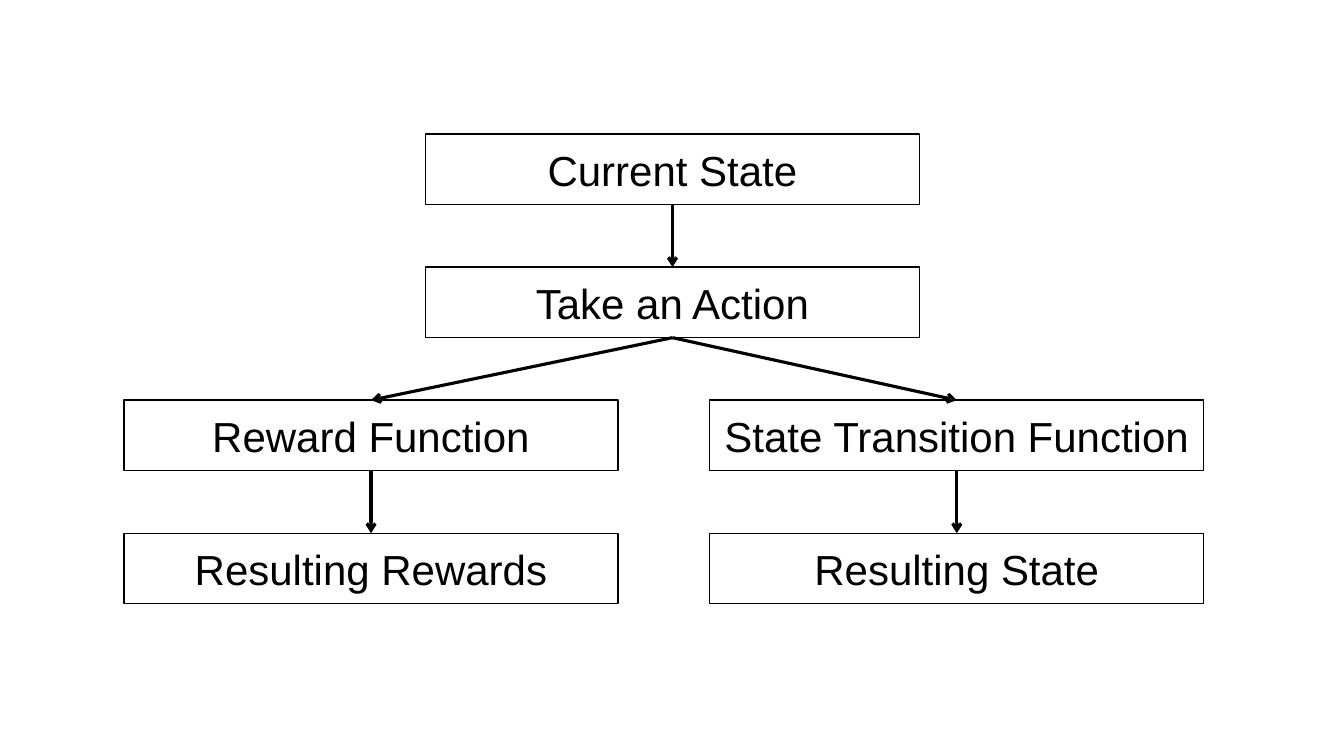
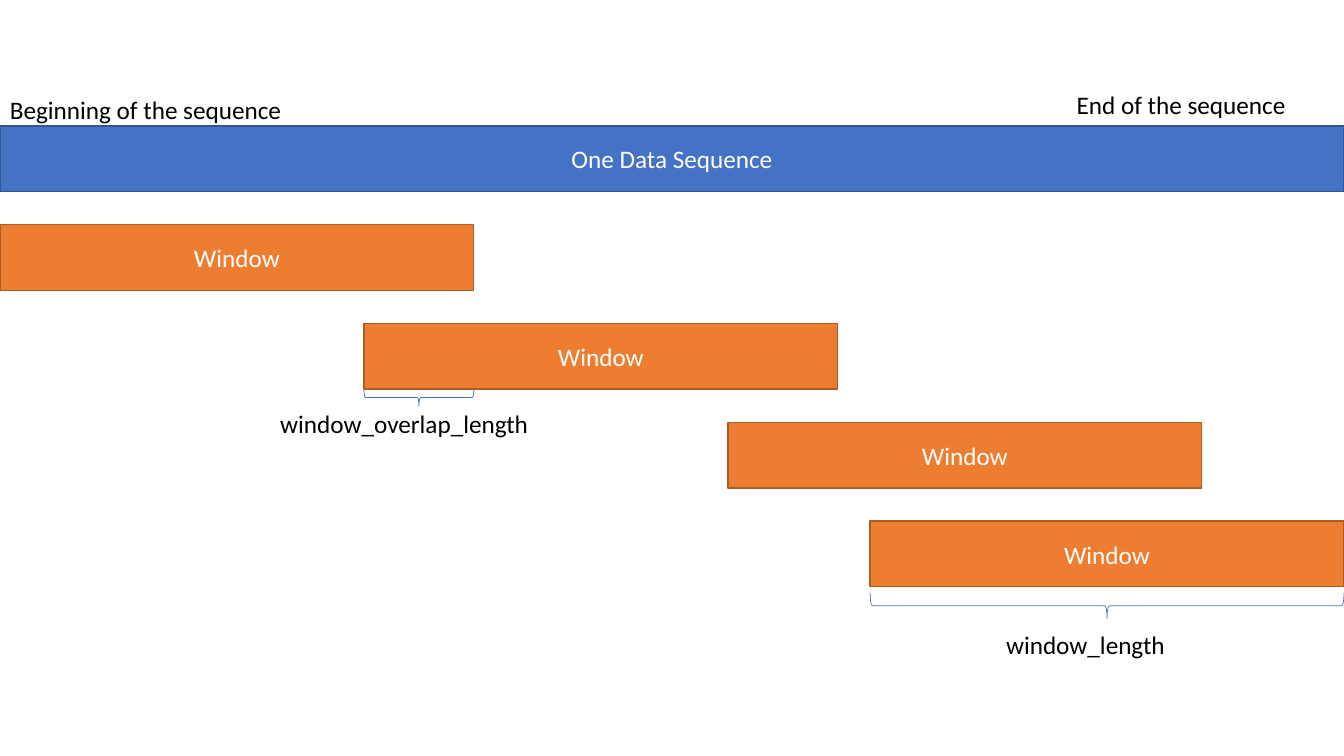
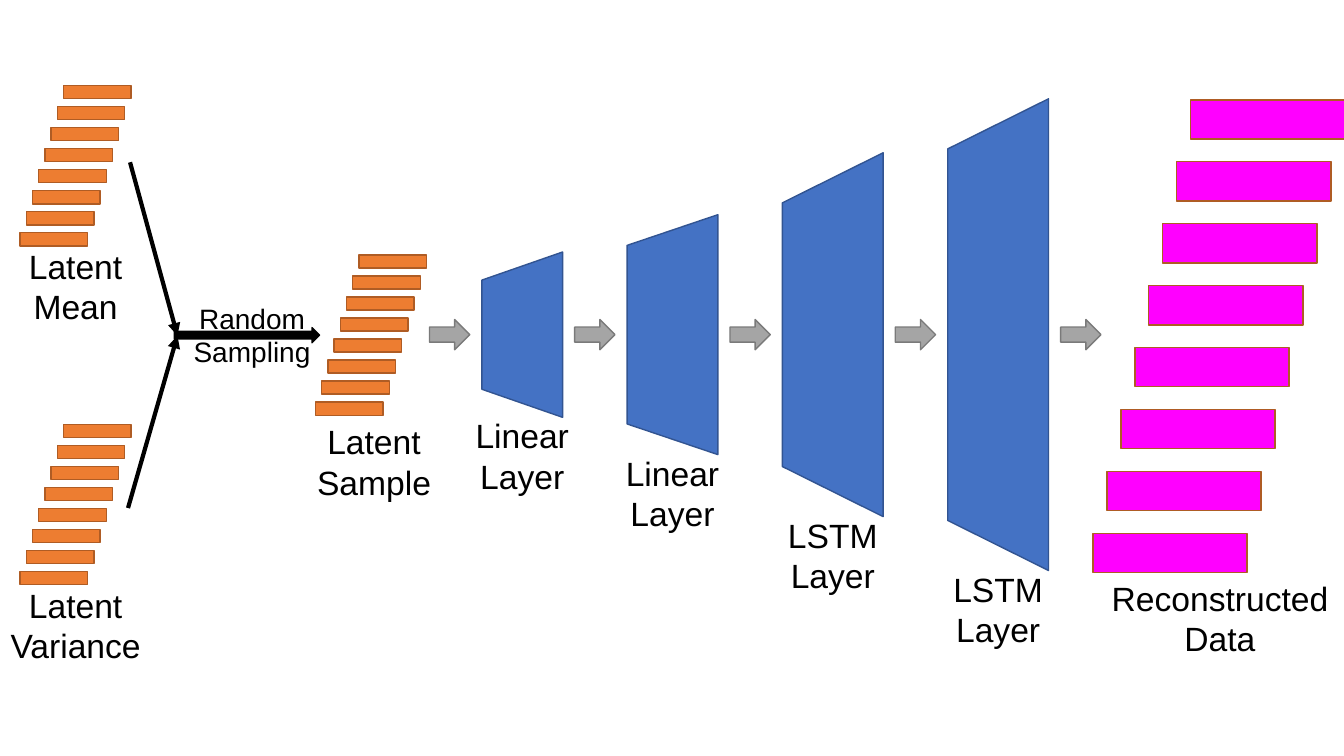
from lxml.etree import SubElement
from pptx import Presentation
from pptx.dml.color import RGBColor
from pptx.enum.shapes import MSO_CONNECTOR, MSO_SHAPE
from pptx.enum.text import MSO_ANCHOR, PP_ALIGN
from pptx.oxml.ns import qn
from pptx.util import Inches, Pt

W, H = 13.33, 7.5
COLORS = {
    "black": "000000", "white": "FFFFFF",
    "blue": "4472C4", "blue_edge": "325491",
    "orange": "ED7D31", "orange_edge": "AF5C24",
    "gray": "A5A5A5", "gray_edge": "7A7A7A", "magenta": "FF00FF",
}

# Decision flow: name -> (centre x, row)
STEPS = {
    "Current State": (6.67, 0),
    "Take an Action": (6.67, 1),
    "Reward Function": (3.68, 2),
    "State Transition Function": (9.49, 2),
    "Resulting Rewards": (3.68, 3),
    "Resulting State": (9.49, 3),
}
FLOWS = [
    ("Current State", "Take an Action"),
    ("Take an Action", "Reward Function"),
    ("Take an Action", "State Transition Function"),
    ("Reward Function", "Resulting Rewards"),
    ("State Transition Function", "Resulting State"),
]

# Sliding windows
WINDOW_W, OVERLAP, BAR_H, BAR_TOP, BAR_PITCH = 4.7, 1.09, 0.65, 1.25, 0.98
SEQUENCE_NOTES = [  # text, left, top, width
    ("Beginning of the sequence", 0, 0.89, 3.51),
    ("End of the sequence", 10.58, 0.84, 2.76),
    ("window_overlap_length", 2.68, 4, 3.28),
    ("window_length", 9.88, 6.19, 2.2),
]

# Decoder
AXIS_Y, ARROW_W, ARROW_H, GAP = 3.32, 0.4, 0.3, 0.12
LAYERS = [  # kind, width, height, taper
    ("Linear", 0.8, 1.64, 0.348),
    ("Linear", 0.9, 2.38, 0.338),
    ("LSTM", 1, 3.61, 0.497),
    ("LSTM", 1, 4.68, 0.497),
]
BARS = 8
LATENT = dict(size=(0.67, 0.13), run=(0.43, 1.46), fill="orange")
DATA = dict(size=(1.53, 0.39), run=(0.97, 4.3), fill="magenta")
STACKS = [  # left, top, style, label, label centre, label top, label width
    (0.2, 0.85, LATENT, ["Latent", "Mean"], 0.75, 2.39, 1.14),
    (0.2, 4.21, LATENT, ["Latent", "Variance"], 0.75, 5.75, 1.51),
    (3.13, 2.53, LATENT, ["Latent", "Sample"], 3.71, 4.13, 1.34),
    (10.84, 0.99, DATA, ["Reconstructed", "Data"], 12.1, 5.68, 2.37),
]
SAMPLING_POINT = (1.76, 3.33)
SAMPLING_STARTS = [(1.29, 1.61), (1.27, 5.04)]


def rgb(name):
    return RGBColor.from_string(COLORS[name])


def write(sp, lines, size, font, color="black", align=PP_ALIGN.CENTER):
    tf = sp.text_frame
    tf.word_wrap = True
    for i, line in enumerate(lines):
        p = tf.paragraphs[0] if i == 0 else tf.add_paragraph()
        p.alignment = align
        r = p.add_run()
        r.text = line
        r.font.size, r.font.name = Pt(size), font
        r.font.color.rgb = rgb(color)
    return tf


def shape(s, kind, x, y, w, h, fill, edge, weight=1):
    sp = s.shapes.add_shape(kind, *map(Inches, (x, y, w, h)))
    sp.shadow.inherit = False
    if fill:
        sp.fill.solid()
        sp.fill.fore_color.rgb = rgb(fill)
    else:
        sp.fill.background()
    sp.line.color.rgb = rgb(edge)
    sp.line.width = Pt(weight)
    return sp


def turned(s, kind, x, y, w, h, angle, *style):
    """Add a shape that fills x, y, w, h after a quarter turn."""
    sp = shape(s, kind, x + (w - h) / 2, y + (h - w) / 2, h, w, *style)
    sp.rotation = angle
    return sp


def box(s, text, x, y, w, h, fill, edge, size, font, color):
    sp = shape(s, MSO_SHAPE.RECTANGLE, x, y, w, h, fill, edge)
    write(sp, [text], size, font, color).vertical_anchor = MSO_ANCHOR.MIDDLE
    return sp


def label(s, lines, x, y, w, h, size, font, align=PP_ALIGN.CENTER):
    sp = s.shapes.add_textbox(*map(Inches, (x, y, w, h)))
    tf = write(sp, lines, size, font, align=align)
    if align == PP_ALIGN.CENTER:
        tf.margin_left = tf.margin_right = Inches(0.05)


def arrow(s, start, end, weight, head):
    c = s.shapes.add_connector(MSO_CONNECTOR.STRAIGHT, *map(Inches, (*start, *end)))
    c.line.color.rgb = rgb("black")
    c.line.width = Pt(weight)
    SubElement(c.line._get_or_add_ln(), qn("a:tailEnd"), type=head)
    SubElement(c._element.spPr, qn("a:effectLst"))
    return c


def decision_flow(s):
    w, h, top, pitch = 4.9, 0.7, 1.33, 1.32
    boxes = {name: box(s, name, cx - w / 2, top + row * pitch, w, h,
                       "white", "black", 30, "Arial", "black")
             for name, (cx, row) in STEPS.items()}
    for a, b in FLOWS:
        c = arrow(s, (0, 0), (1, 1), 2.25, "arrow")
        c.begin_connect(boxes[a], 2)
        c.end_connect(boxes[b], 0)


def sliding_windows(s):
    last = W - WINDOW_W
    step = WINDOW_W - OVERLAP
    box(s, "One Data Sequence", 0, BAR_TOP, W, BAR_H,
        "blue", "blue_edge", 18, "Calibri", "white")
    for row, x in enumerate([0, step, 2 * step, last], 1):
        box(s, "Window", x, BAR_TOP + row * BAR_PITCH, WINDOW_W, BAR_H,
            "orange", "orange_edge", 18, "Calibri", "white")
    for x, y, w, h in [(step, 3.86, OVERLAP, 0.17), (last, 5.88, WINDOW_W, 0.26)]:
        turned(s, MSO_SHAPE.RIGHT_BRACE, x, y, w, h, 90, None, "blue", 0.5)
    for text, x, y, w in SEQUENCE_NOTES:
        label(s, [text], x, y, w, 0.46, 18, "Calibri", PP_ALIGN.LEFT)


def bar_stack(s, x, y, size, run, fill):
    """Add bars that climb to the right, from the lowest one up."""
    for i in range(BARS):
        share = i / (BARS - 1)
        shape(s, MSO_SHAPE.RECTANGLE, x + share * run[0], y + (1 - share) * run[1],
              *size, fill, "orange_edge")


def decoder(s):
    for x, y, style, lines, cx, label_y, w in STACKS:
        bar_stack(s, x, y, **style)
        label(s, lines, cx - w / 2, label_y, w, 0.91, 24, "Arial")

    shape(s, MSO_SHAPE.RIGHT_ARROW, 1.73, 3.25, 1.44, 0.15, "black", "black")
    for start in SAMPLING_STARTS:
        arrow(s, start, SAMPLING_POINT, 3, "triangle")
    label(s, ["Random", "Sampling"], 1.76, 2.94, 1.48, 0.77, 20, "Arial")

    def flow_arrow(x):
        shape(s, MSO_SHAPE.RIGHT_ARROW, x, AXIS_Y - ARROW_H / 2, ARROW_W, ARROW_H,
              "gray", "gray_edge")

    x, label_w = 4.26, 1.14
    for kind, w, h, taper in LAYERS:
        flow_arrow(x)
        x += ARROW_W + GAP
        layer = turned(s, MSO_SHAPE.TRAPEZOID, x, AXIS_Y - h / 2, w, h, 270,
                       "blue", "blue_edge")
        layer.adjustments[0] = taper
        label(s, [kind, "Layer"], x + (w - label_w) / 2, AXIS_Y + h / 2 - 0.07,
              label_w, 0.91, 24, "Arial")
        x += w + GAP
    flow_arrow(x)


def main():
    prs = Presentation()
    prs.slide_width, prs.slide_height = Inches(W), Inches(H)
    for draw in (decision_flow, sliding_windows, decoder):
        draw(prs.slides.add_slide(prs.slide_layouts[6]))
    prs.save("out.pptx")


if __name__ == "__main__":
    main()
